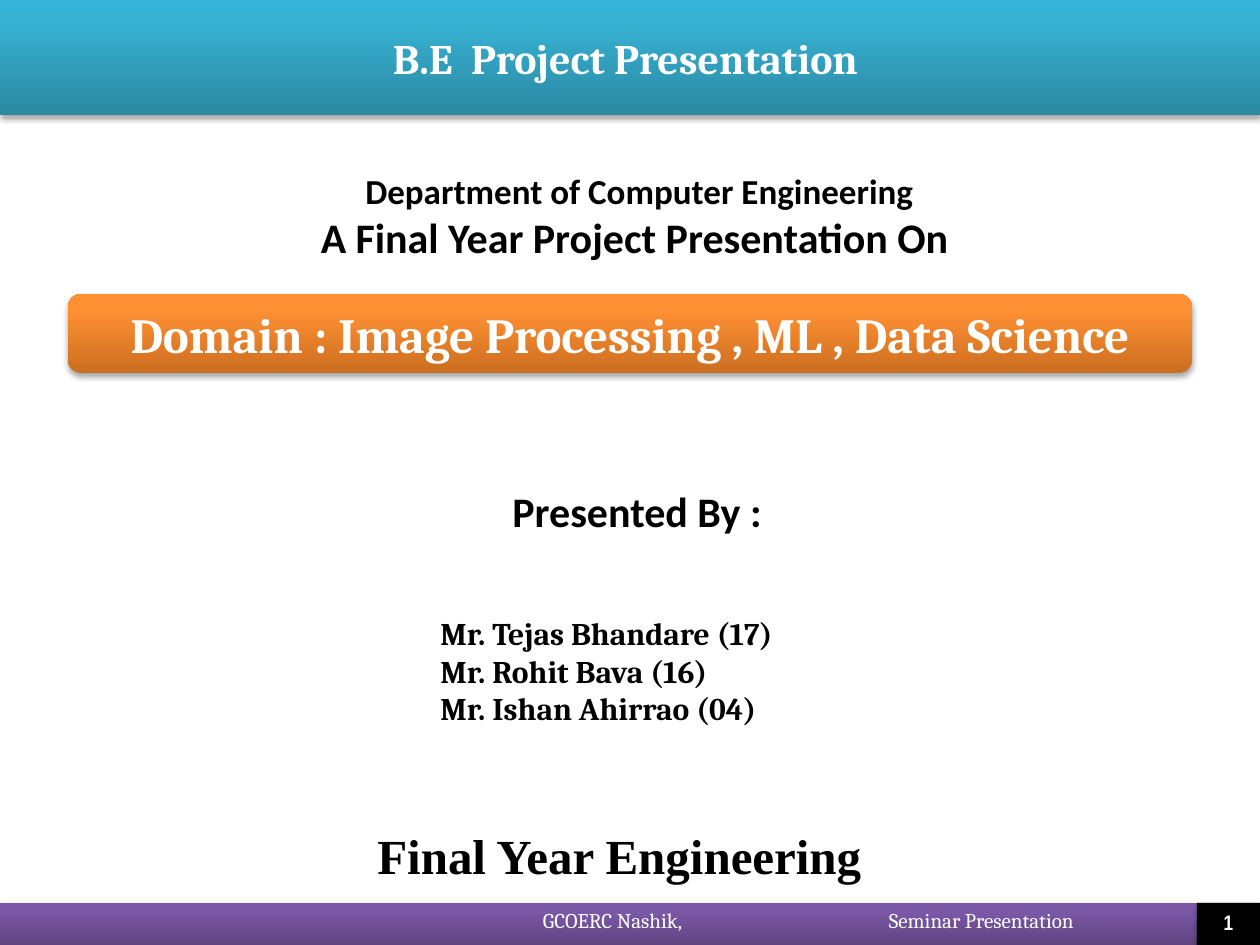
from dataclasses import dataclass

from lxml.etree import SubElement
from pptx import Presentation
from pptx.dml.color import RGBColor
from pptx.enum.shapes import MSO_SHAPE
from pptx.enum.text import MSO_ANCHOR, MSO_AUTO_SIZE, PP_ALIGN
from pptx.oxml.ns import qn
from pptx.util import Emu, Pt


@dataclass(frozen=True)
class Theme:
    white: str = "FFFFFF"
    black: str = "000000"
    teal: tuple = ("2A88A2", "37B1D2", "34B4D6")
    violet: tuple = ("5F4480", "7B58A6", "7C57A8")
    orange: tuple = ("CC6E20", "FF9034", "FF9136")
    serif: str = "Cambria"
    sans: str = "Calibri"
    roman: str = "Times New Roman"
    narrow: str = "Arial Narrow"
    small: int = 12
    body: int = 18
    sub: int = 20
    head: int = 24
    big: int = 28


@dataclass(frozen=True)
class Box:
    x: int
    y: int
    w: int
    h: int


@dataclass(frozen=True)
class Line:
    text: str
    size: int
    font: str
    color: str
    bold: bool = True


@dataclass(frozen=True)
class Label:
    box: Box
    lines: tuple
    align: PP_ALIGN = PP_ALIGN.LEFT
    anchor: MSO_ANCHOR = MSO_ANCHOR.TOP
    wrap: bool = False
    pad: bool = True


THEME = Theme()
MID = MSO_ANCHOR.MIDDLE
WIDE, HIGH = 1260, 945
BASE = 903  # top of the footer bar


def px(n: int) -> Emu:
    return Emu(round(n * 914400 / 126))


def place(shape, box: Box) -> None:
    shape.left, shape.top = px(box.x), px(box.y)
    shape.width, shape.height = px(box.w), px(box.h)


def write(shape, lines: tuple, align: PP_ALIGN, anchor: MSO_ANCHOR,
          wrap: bool = True) -> None:
    frame = shape.text_frame
    frame.auto_size = MSO_AUTO_SIZE.NONE
    frame.word_wrap = wrap
    frame.vertical_anchor = anchor
    for i, line in enumerate(lines):
        para = frame.add_paragraph() if i else frame.paragraphs[0]
        para.alignment = align
        run = para.add_run()
        run.text = line.text
        font = run.font
        font.name, font.size, font.bold = line.font, Pt(line.size), line.bold
        font.color.rgb = RGBColor.from_string(line.color)


def shade(shape, tones: tuple) -> None:
    """Three-stop gradient running from bottom to top."""
    shape.fill.gradient()
    grad = shape.fill._xPr.find(qn("a:gradFill"))
    for part in list(grad):
        grad.remove(part)
    stops = SubElement(grad, qn("a:gsLst"))
    for pos, tone in zip((0, 80, 100), tones):
        stop = SubElement(stops, qn("a:gs"), pos=str(pos * 1000))
        SubElement(stop, qn("a:srgbClr"), val=tone)
    SubElement(grad, qn("a:lin"), ang=str(270 * 60000), scaled="0")


def cast(shape) -> None:
    """No outline, and a soft shadow below."""
    shape.line.fill.background()
    shape.shadow.inherit = False
    glow = shape._element.spPr.find(qn("a:effectLst"))
    drop = SubElement(glow, qn("a:outerShdw"), blurRad=str(Pt(3.1)),
                      dist=str(Pt(1.8)), dir=str(90 * 60000), rotWithShape="0")
    tone = SubElement(drop, qn("a:srgbClr"), val=THEME.black)
    SubElement(tone, qn("a:alpha"), val="35000")


def bar(slide, box: Box, tones: tuple, kind=MSO_SHAPE.RECTANGLE):
    shape = slide.shapes.add_shape(kind, 0, 0, 0, 0)
    place(shape, box)
    if len(tones) == 1:
        shape.fill.solid()
        shape.fill.fore_color.rgb = RGBColor.from_string(tones[0])
    else:
        shade(shape, tones)
    cast(shape)
    return shape


def label(slide, item: Label) -> None:
    shape = slide.shapes.add_textbox(0, 0, 0, 0)
    place(shape, item.box)
    write(shape, item.lines, item.align, item.anchor, item.wrap)
    if not item.pad:
        shape.text_frame.margin_left = shape.text_frame.margin_right = 0


def main() -> None:
    t = THEME
    deck = Presentation()
    deck.slide_width, deck.slide_height = px(WIDE), px(HIGH)
    slide = deck.slides.add_slide(deck.slide_layouts[5])

    # Title band
    title = slide.shapes.title
    place(title, Box(0, 0, WIDE, 115))
    shade(title, t.teal)
    cast(title)
    write(title, (Line("B.E  Project Presentation ", t.head, t.serif, t.white),),
          PP_ALIGN.CENTER, MID)

    # Footer bar and page number
    bar(slide, Box(0, BASE, WIDE, HIGH - BASE), t.violet)
    page = bar(slide, Box(1197, BASE, 63, HIGH - BASE), (t.black,))
    write(page, (Line("1", t.small, t.narrow, t.white),), PP_ALIGN.CENTER, MID)
    page.text_frame.paragraphs[0].line_spacing = 0.8

    # Domain banner
    topic = bar(slide, Box(68, 294, 1124, 79), t.orange,
                MSO_SHAPE.ROUNDED_RECTANGLE)
    write(topic, (Line("Domain : Image Processing , ML , Data Science",
                       t.big, t.serif, t.white),), PP_ALIGN.CENTER, MID)

    # Plain text
    names = ("Mr. Tejas Bhandare (17)", "Mr. Rohit Bava (16)",
             "Mr. Ishan Ahirrao (04)")
    team = tuple(Line(n, t.body, t.serif, t.black) for n in names)
    intro = (Line("Department of Computer Engineering", t.sub, t.sans, t.black),
             Line("A Final Year Project Presentation On ", t.head, t.sans, t.black))
    items = [
        Label(Box(428, 607, 420, 127), team, PP_ALIGN.JUSTIFY, MID, True),
        Label(Box(305, 163, 669, 106), intro, PP_ALIGN.CENTER),
        Label(Box(500, 479, 277, 63),
              (Line("Presented By :", t.head, t.sans, t.black),)),
        Label(Box(365, 819, 527, 72),
              (Line("Final Year Engineering", t.big, t.roman, t.black),)),
    ]
    for x, text in ((543, "GCOERC Nashik,"), (889, "Seminar Presentation")):
        note = Line(text, t.small, t.serif, t.white, False)
        items.append(Label(Box(x, 895, 240, 50), (note,), anchor=MID, pad=False))
    for item in items:
        label(slide, item)

    deck.save("out.pptx")


if __name__ == "__main__":
    main()
